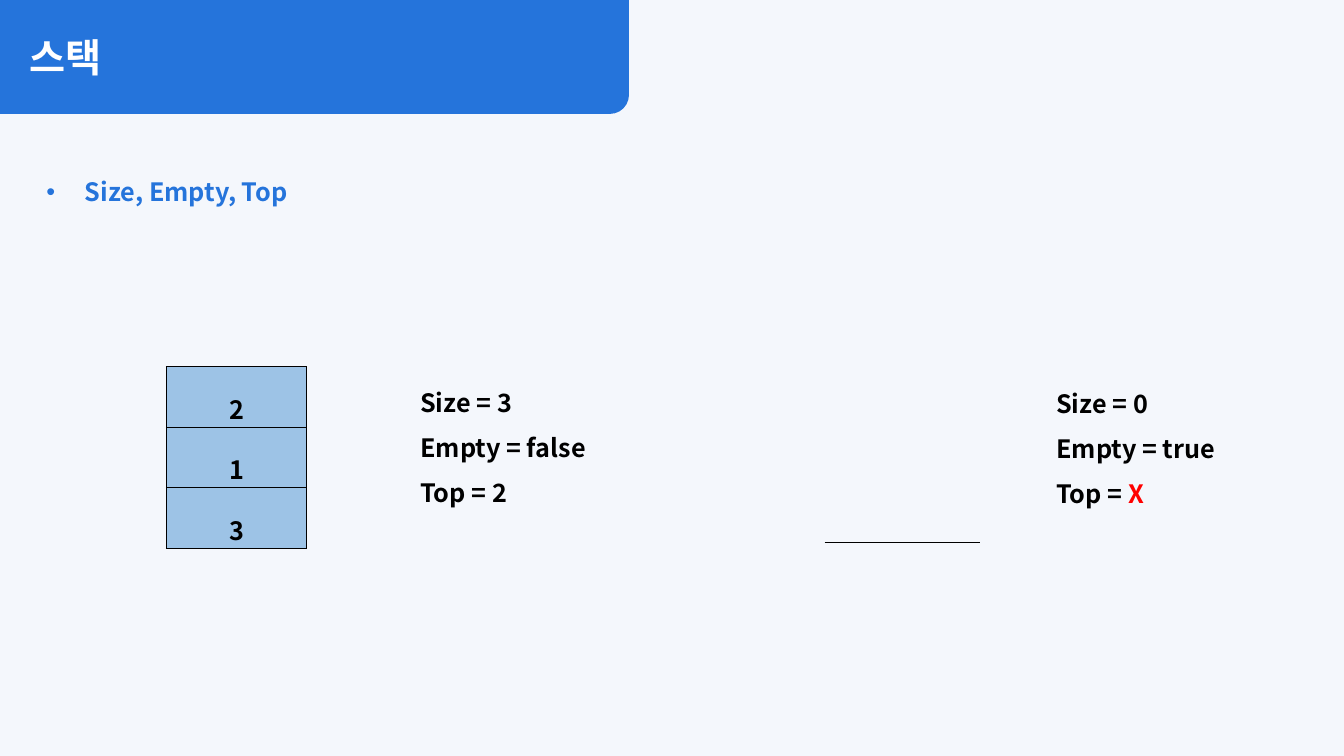
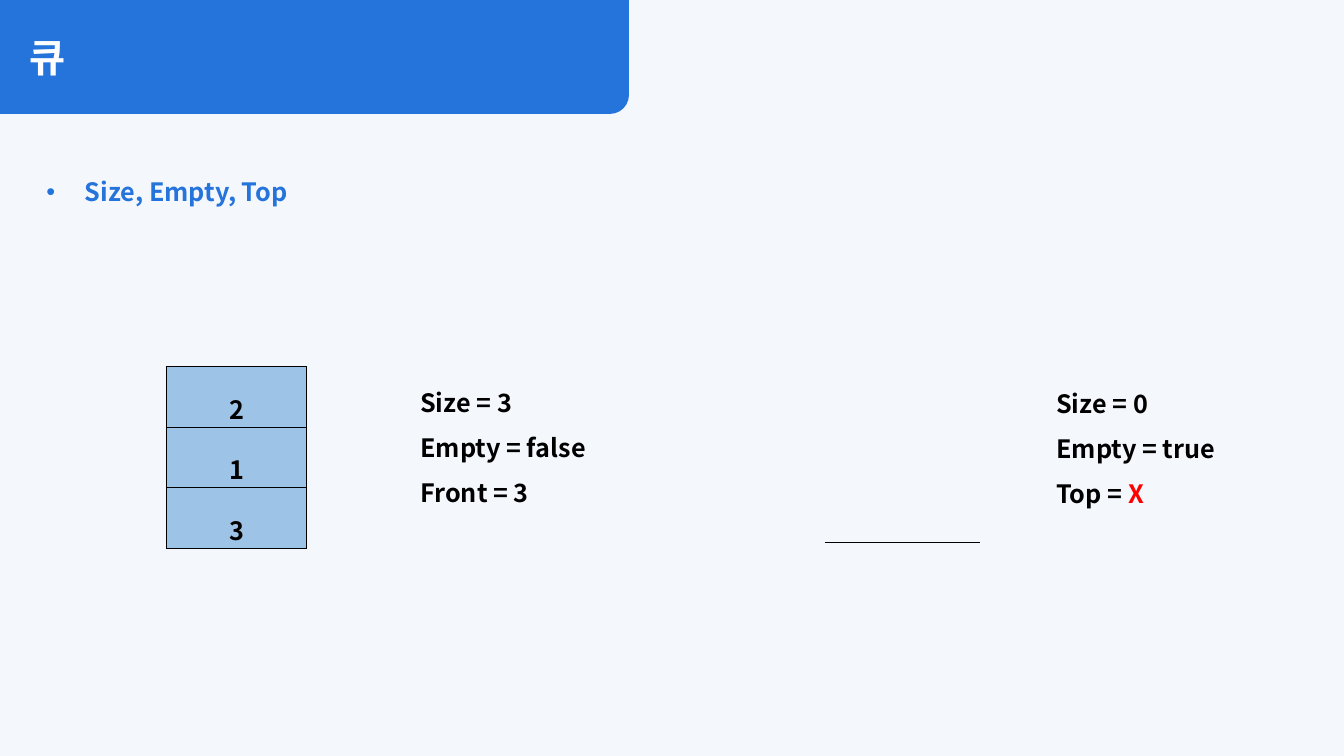
import pptx
import pptx.dml.color
import pptx.enum.shapes
import pptx.enum.text
import pptx.oxml
import pptx.oxml.ns
import pptx.util

RGBColor = pptx.dml.color.RGBColor
PAGE = RGBColor(0xF4, 0xF7, 0xFC)
BLUE = RGBColor(0x25, 0x74, 0xDB)
CELL_BLUE = RGBColor(0x9D, 0xC3, 0xE6)
BLACK = RGBColor(0, 0, 0)
WHITE = RGBColor(0xFF, 0xFF, 0xFF)
RED = RGBColor(0xFF, 0, 0)
FONT = "Noto Sans CJK KR"

SLIDE_WIDTH = pptx.util.Inches(13.33)
SLIDE_HEIGHT = pptx.util.Inches(7.5)

# Left, top, width and height in percent of the slide
BAND = (0, 0, 46.8, 15.07)
TITLE = (1.43, 3.73, 43.88, 7.6)
TOPIC = (2.7, 18.67, 94.58, 8.13)
FILLED_STATUS = (30.53, 48.53, 19.43, 18.8)
EMPTY_STATUS = (77.85, 48.67, 19.43, 18.8)
CELLS = (12.38, 48.53, 10.43, 24)
BASELINE = (61.35, 71.73, 11.55, 0)

VALUES = ["2", "1", "3"]
EMPTY_LINES = [["Size = 0"], ["Empty = true"], ["Top = ", "X"]]


def box(area):
    """Turn percentages into slide lengths."""
    sides = (SLIDE_WIDTH, SLIDE_HEIGHT) * 2
    return [round(share * side / 100) for share, side in zip(area, sides)]


def style(paragraph, size, color, spacing=1):
    paragraph.line_spacing = spacing
    font = paragraph.font
    font.size = pptx.util.Pt(size)
    font.bold = True
    font.color.rgb = color
    font.name = FONT
    east_asian = pptx.oxml.parse_xml(
        f'<a:ea {pptx.oxml.ns.nsdecls("a")} typeface="{FONT}"/>')
    font._element.append(east_asian)


def fill_placeholder(placeholder, area, text):
    """Move a placeholder, set its text and return its paragraph."""
    placeholder.left, placeholder.top, placeholder.width, placeholder.height = box(area)
    frame = placeholder.text_frame
    frame.text = text
    frame.auto_size = pptx.enum.text.MSO_AUTO_SIZE.SHAPE_TO_FIT_TEXT
    frame.vertical_anchor = pptx.enum.text.MSO_ANCHOR.TOP
    paragraph = frame.paragraphs[0]
    paragraph.alignment = pptx.enum.text.PP_ALIGN.LEFT
    paragraph.space_before = pptx.util.Pt(0)
    return paragraph


def add_band(slide):
    """Add the title band, rounded at its lower right, behind the title."""
    band = slide.shapes.add_shape(
        pptx.enum.shapes.MSO_SHAPE.ROUND_1_RECTANGLE, *box(BAND))
    band.shadow.inherit = False
    band.fill.solid()
    band.fill.fore_color.rgb = BLUE
    band.line.fill.background()
    band._element.spPr.xfrm.set("flipV", "1")
    slide.shapes._spTree.insert(2, band._element)


def add_heading(slide, title, topic):
    style(fill_placeholder(slide.shapes.title, TITLE, title), 28, WHITE)
    paragraph = fill_placeholder(slide.placeholders[1], TOPIC, topic)
    indent = pptx.util.Inches(0.38)
    properties = paragraph._p.get_or_add_pPr()
    properties.set("marL", str(indent))
    properties.set("indent", str(-indent))
    style(paragraph, 18, BLUE, 2)


def add_status(slide, area, lines):
    """Add lines of text; a second part of a line is red."""
    frame = slide.shapes.add_textbox(*box(area)).text_frame
    frame.word_wrap = True
    frame.auto_size = pptx.enum.text.MSO_AUTO_SIZE.SHAPE_TO_FIT_TEXT
    for index, parts in enumerate(lines):
        paragraph = frame.add_paragraph() if index else frame.paragraphs[0]
        style(paragraph, 18, BLACK, 1.5)
        for part in parts:
            run = paragraph.add_run()
            run.text = part
        if len(parts) > 1:
            run.font.color.rgb = RED


def add_borders(cell):
    properties = cell._tc.get_or_add_tcPr()
    for side in ("lnL", "lnR", "lnT", "lnB"):
        properties.append(pptx.oxml.parse_xml(
            f'<a:{side} {pptx.oxml.ns.nsdecls("a")} w="{pptx.util.Pt(1)}">'
            f'<a:solidFill><a:srgbClr val="{BLACK}"/></a:solidFill></a:{side}>'))


def add_cells(slide, values):
    table = slide.shapes.add_table(len(values), 1, *box(CELLS)).table
    table.first_row = table.horz_banding = False
    for cell, value in zip(table.iter_cells(), values):
        add_borders(cell)
        cell.fill.solid()
        cell.fill.fore_color.rgb = CELL_BLUE
        cell.text = value
        paragraph = cell.text_frame.paragraphs[0]
        paragraph.alignment = pptx.enum.text.PP_ALIGN.CENTER
        style(paragraph, 18, BLACK, 1.5)


def add_baseline(slide):
    left, top, width, height = box(BASELINE)
    line = slide.shapes.add_connector(
        pptx.enum.shapes.MSO_CONNECTOR.STRAIGHT, left, top, left + width, top + height)
    line.line.color.rgb = BLACK
    line.line.width = pptx.util.Pt(0.5)
    line._element.spPr.append(pptx.oxml.parse_xml(
        f'<a:effectLst {pptx.oxml.ns.nsdecls("a")}/>'))


def add_structure_slide(presentation, title, access):
    """Compare a filled and an empty structure; access names its next element."""
    slide = presentation.slides.add_slide(presentation.slide_layouts[1])
    add_band(slide)
    add_heading(slide, title, "Size, Empty, Top")
    add_status(slide, FILLED_STATUS, [["Size = 3"], ["Empty = false"], [access]])
    add_cells(slide, VALUES)
    add_baseline(slide)
    add_status(slide, EMPTY_STATUS, EMPTY_LINES)


def main():
    presentation = pptx.Presentation()
    presentation.slide_width = SLIDE_WIDTH
    presentation.slide_height = SLIDE_HEIGHT
    background = presentation.slide_master.background.fill
    background.solid()
    background.fore_color.rgb = PAGE
    for title, access in (("스택", "Top = 2"), ("큐", "Front = 3")):
        add_structure_slide(presentation, title, access)
    presentation.save("out.pptx")


if __name__ == "__main__":
    main()
